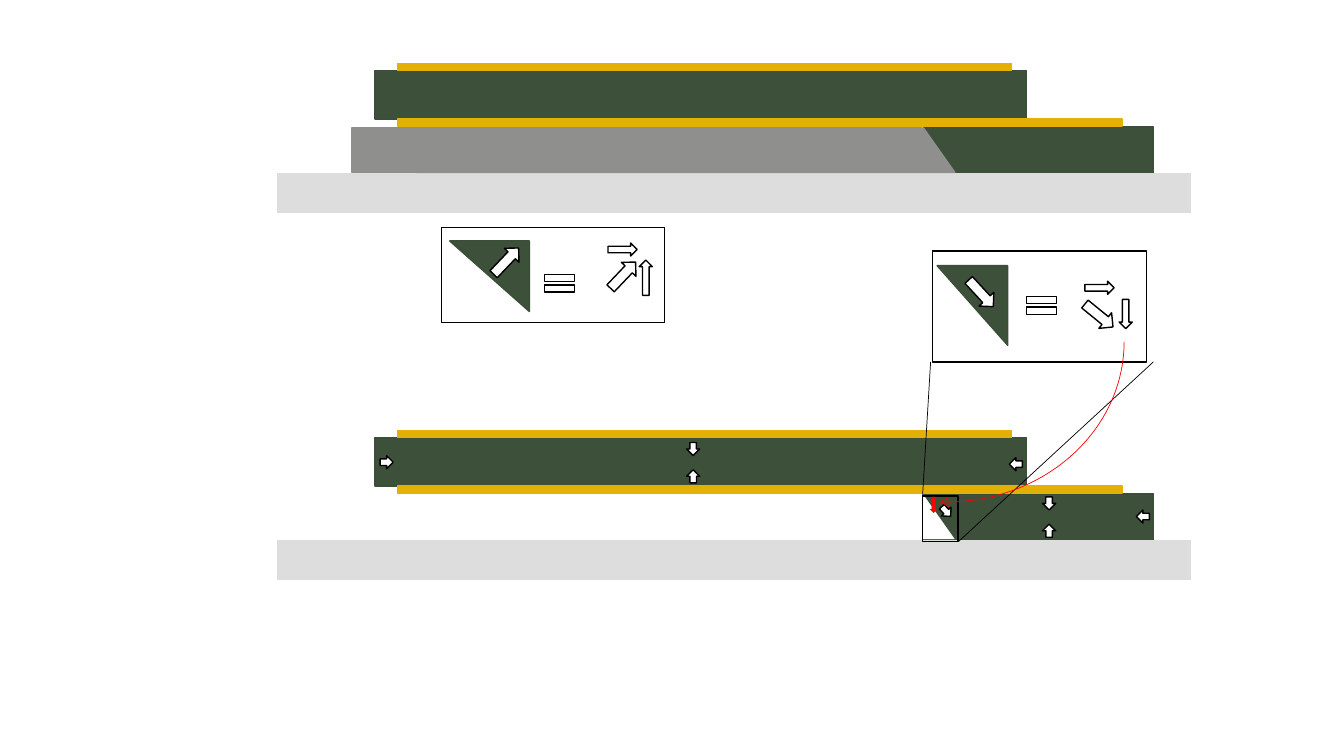
from pptx import Presentation
from pptx.dml.color import RGBColor
from pptx.enum.shapes import MSO_CONNECTOR, MSO_SHAPE
from pptx.oxml.ns import qn
from pptx.util import Inches, Pt
from lxml import etree

RECT, SLANT = MSO_SHAPE.RECTANGLE, MSO_SHAPE.PARALLELOGRAM
ARROW, WEDGE = MSO_SHAPE.DOWN_ARROW, MSO_SHAPE.RIGHT_TRIANGLE
EQUAL, ARC = MSO_SHAPE.MATH_EQUAL, MSO_SHAPE.ARC
STRAIGHT = MSO_CONNECTOR.STRAIGHT

GREEN, EDGE = RGBColor(0x3D, 0x50, 0x3A), RGBColor(0x3B, 0x4E, 0x38)
GOLD, PALE = RGBColor(0xE3, 0xB0, 0x05), RGBColor(0xDD, 0xDD, 0xDD)
GRAY, RED = RGBColor(0x8F, 0x8F, 0x8D), RGBColor(0xFF, 0, 0)
WHITE, BLACK = RGBColor(0xFF, 0xFF, 0xFF), RGBColor(0, 0, 0)

# Layers of one stage: left, top, width, height, fill, line
LAYERS = [
    (9.16, 1.26, 2.28, 0.47, GREEN, EDGE),
    (3.72, 0.7, 6.46, 0.48, GREEN, EDGE),
    (2.75, 1.72, 9.06, 0.39, PALE, PALE),
    (3.94, 1.18, 7.19, 0.07, GOLD, GOLD),
    (3.94, 0.63, 6.09, 0.07, GOLD, GOLD),
]
FILLER = (3.82, 1.27, 5.65, 0.44)
SHIFT = 0.33   # the square block sits this far left of the slanted one
DROP = 3.64    # from the upper stage to the lower one

# Arrow sizes: width, height
TINY, SLIM, TALL, BOLD = (0.13, 0.13), (0.13, 0.29), (0.13, 0.35), (0.2, 0.36)

# Stress arrows: left, top, turn
STRESS = [
    (6.81, 4.39, 0), (6.81, 4.66, 180), (10.34, 5.2, 180), (10.34, 4.93, 0),
    (3.77, 4.52, 270), (10.01, 4.54, 90), (11.27, 5.06, 90), (9.32, 5.01, 317.6),
]
ZOOM = (9.15, 4.92, 0.35, 0.45)
RAYS = [(9.15, 4.92, 9.23, 3.59), (9.51, 5.37, 11.44, 3.59)]

# Force diagrams: frame, wedge, turn, flip, equal sign, arrows
FORCES = [
    ((4.38, 2.26, 2.21, 0.94), (4.46, 2.39, 0.79, 0.7), 180, "", (5.35, 2.66),
     [(6.11, 2.33, SLIM, 270), (6.34, 2.58, TALL, 180),
      (4.92, 2.41, BOLD, 223.6), (6.08, 2.55, BOLD, 223.6)]),
    ((9.25, 2.49, 2.12, 1.1), (9.25, 2.68, 0.79, 0.7), 90, "flipV", (10.13, 2.88),
     [(10.8, 2.95, BOLD, 309.2), (10.84, 2.71, SLIM, 270),
      (11.1, 2.97, SLIM, 0), (9.63, 2.73, BOLD, 317.3)]),
]
CURVE, SWEEP = (7.62, 1.8, 3.53, 3.18), 160.594
PUSH = (9.22, 4.93, 0.08, 0.16)

deck = Presentation()
deck.slide_width, deck.slide_height = Inches(13.33), Inches(7.5)
slide = deck.slides.add_slide(deck.slide_layouts[6])
shapes = slide.shapes


def draw(kind, box, fill=None, line=None, turn=0, flip="", width=1):
    """Add a preset shape; a missing colour leaves that part empty."""
    shape = shapes.add_shape(kind, *map(Inches, box))
    shape.shadow.inherit = False
    if fill is None:
        shape.fill.background()
    else:
        shape.fill.solid()
        shape.fill.fore_color.rgb = fill
    if line is None:
        shape.line.fill.background()
    else:
        shape.line.color.rgb = line
        shape.line.width = Pt(width)
    shape.rotation = turn
    if flip:
        shape._element.spPr.find(qn("a:xfrm")).set(flip, "1")
    return shape


def arrow(left, top, size, turn):
    draw(ARROW, (left, top, *size), WHITE, BLACK, turn)


def ray(*ends):
    line = shapes.add_connector(STRAIGHT, *map(Inches, ends))
    line.line.color.rgb = BLACK
    line.line.width = Pt(0.5)
    etree.SubElement(line._element.spPr, qn("a:effectLst"))


def stage(drop, fill, line):
    """Draw the layers and the slanted filler, moved down by drop."""
    for left, top, width, height, tone, edge in LAYERS:
        draw(RECT, (left, top + drop, width, height), tone, edge)
    left, top, width, height = FILLER
    slant = draw(SLANT, (left, top + drop, width, height), fill, line, flip="flipH")
    slant.adjustments[0] = 0.706


stage(0, GRAY, GRAY)
draw(RECT, (FILLER[0] - SHIFT, *FILLER[1:]), GRAY, GRAY)
stage(DROP, WHITE, None)

for left, top, turn in STRESS:
    arrow(left, top, TINY, turn)
draw(RECT, ZOOM, line=BLACK)
for ends in RAYS:
    ray(*ends)

for frame, wedge, turn, flip, equal, arrows in FORCES:
    draw(WEDGE, wedge, GREEN, EDGE, turn, flip)
    draw(EQUAL, (*equal, 0.4, 0.3), WHITE, BLACK)
    draw(RECT, frame, line=BLACK)
    for item in arrows:
        arrow(*item)

curve = draw(ARC, CURVE, line=RED, turn=180, flip="flipH", width=0.5)
curve.adjustments[0] = SWEEP
curve.adjustments[1] = 0
etree.SubElement(curve.line._get_or_add_ln(), qn("a:headEnd"), type="arrow")
draw(ARROW, PUSH, RED)

deck.save("out.pptx")
